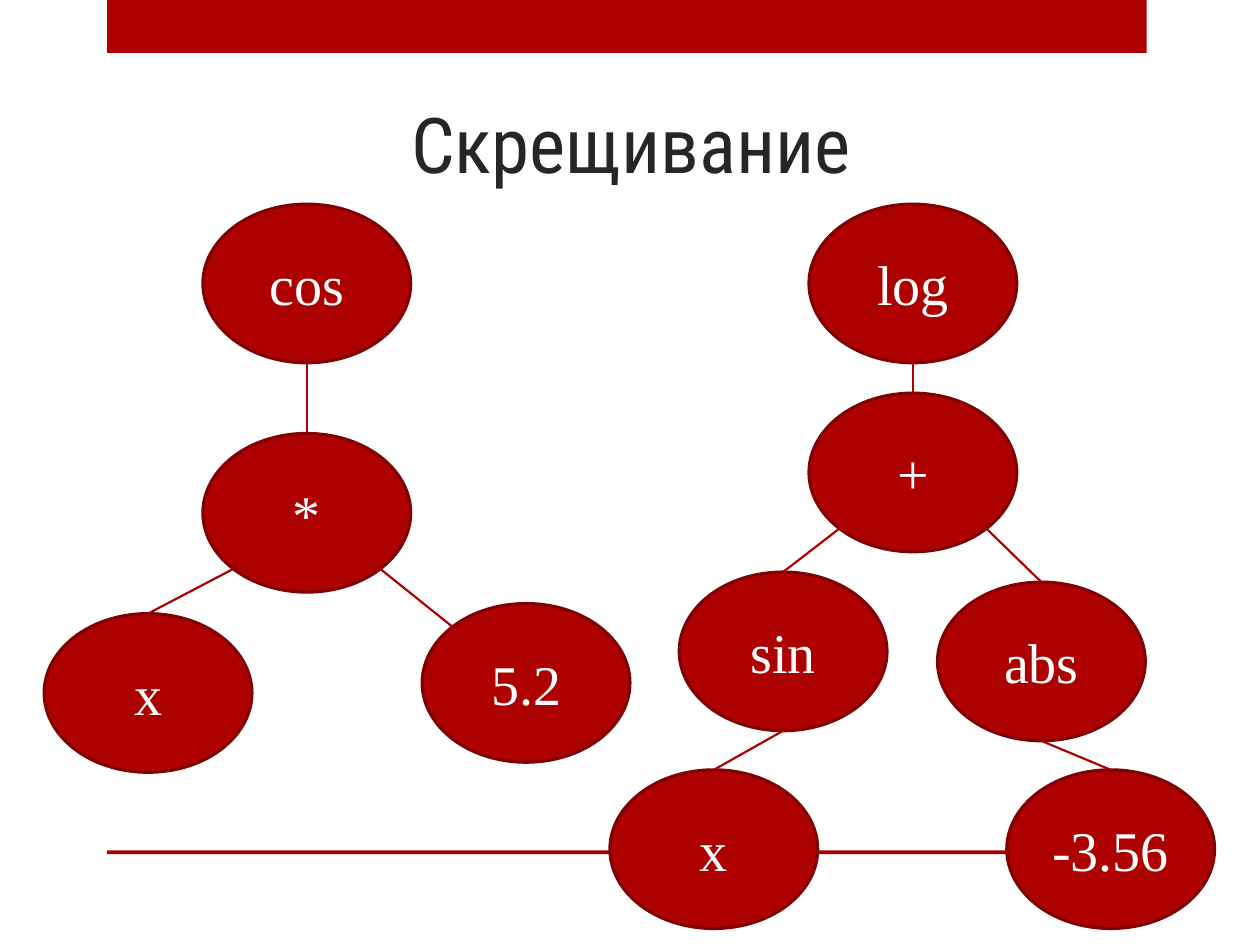
from math import sqrt

from lxml import etree
from pptx import Presentation
from pptx.dml.color import RGBColor
from pptx.enum.shapes import MSO_CONNECTOR, MSO_SHAPE
from pptx.enum.text import MSO_ANCHOR, PP_ALIGN
from pptx.oxml.ns import qn
from pptx.util import Inches, Pt

COLORS = {"red": "AD0101", "dark_red": "800101", "title": "262626", "white": "FFFFFF"}
TITLE = "Скрещивание"
NODE_W, NODE_H = 1.65, 1.26
BARS = [(0, 0.42), (6.75, 0.03)]  # top, height

# key: (label, left, top)
NODES = {
    "cos": ("cos", 1.61, 1.62),
    "times": ("*", 1.61, 3.44),
    "left_x": ("x", 0.35, 4.87),
    "factor": ("5.2", 3.35, 4.79),
    "log": ("log", 6.42, 1.62),
    "plus": ("+", 6.42, 3.12),
    "sin": ("sin", 5.39, 4.54),
    "abs": ("abs", 7.44, 4.62),
    "right_x": ("x", 4.84, 6.11),
    "constant": ("-3.56", 7.99, 6.11),
}

# parent, side of parent, child, side of child
EDGES = [
    ("cos", "bottom", "times", "top"),
    ("times", "bottom_left", "left_x", "top"),
    ("times", "bottom_right", "factor", "top_left"),
    ("log", "bottom", "plus", "top"),
    ("plus", "bottom_left", "sin", "top"),
    ("plus", "bottom_right", "abs", "top"),
    ("sin", "bottom", "right_x", "top"),
    ("abs", "bottom", "constant", "top"),
]

# Points on the unit circle, y pointing down
DIAGONAL = sqrt(0.5)
SIDES = {
    "top": (0, -1),
    "bottom": (0, 1),
    "top_left": (-DIAGONAL, -DIAGONAL),
    "bottom_left": (-DIAGONAL, DIAGONAL),
    "bottom_right": (DIAGONAL, DIAGONAL),
}


def rgb(name):
    """Return a named colour."""
    return RGBColor.from_string(COLORS[name])


def add_filled(slide, kind, left, top, width, height):
    """Add a red shape without outline or shadow."""
    shape = slide.shapes.add_shape(
        kind, Inches(left), Inches(top), Inches(width), Inches(height))
    shape.shadow.inherit = False
    shape.fill.solid()
    shape.fill.fore_color.rgb = rgb("red")
    shape.line.fill.background()
    return shape


def write(shape, text, size, font, color, anchor):
    """Put one centred line of text in a shape."""
    frame = shape.text_frame
    frame.word_wrap = True
    frame.vertical_anchor = anchor
    paragraph = frame.paragraphs[0]
    paragraph.alignment = PP_ALIGN.CENTER
    run = paragraph.add_run()
    run.text = text
    run.font.size = Pt(size)
    run.font.name = font
    run.font.color.rgb = rgb(color)


def add_node(slide, label, left, top):
    """Add one labelled ellipse of an expression tree."""
    node = add_filled(slide, MSO_SHAPE.OVAL, left, top, NODE_W, NODE_H)
    node.line.color.rgb = rgb("dark_red")
    node.line.width = Pt(1.75)
    write(node, label, 32, "Times New Roman", "white", MSO_ANCHOR.MIDDLE)


def site(key, side):
    """Return the point on a node's outline at the given side."""
    _, left, top = NODES[key]
    dx, dy = SIDES[side]
    return Inches(left + NODE_W * (1 + dx) / 2), Inches(top + NODE_H * (1 + dy) / 2)


def add_edge(slide, parent, parent_side, child, child_side):
    """Join two nodes with a straight line."""
    edge = slide.shapes.add_connector(
        MSO_CONNECTOR.STRAIGHT, *site(parent, parent_side), *site(child, child_side))
    edge.line.color.rgb = rgb("red")
    edge.line.width = Pt(1.25)
    etree.SubElement(edge._element.spPr, qn("a:effectLst"))


def add_title(slide):
    """Place and format the title placeholder."""
    title = slide.shapes.title
    title.left, title.top = Inches(1.3), Inches(-0.2)
    title.width, title.height = Inches(7.42), Inches(1.75)
    write(title, TITLE, 44, "Roboto Condensed", "title", MSO_ANCHOR.BOTTOM)


def main():
    """Build and save the slide."""
    prs = Presentation()
    prs.slide_width, prs.slide_height = Inches(10), Inches(7.5)
    slide = prs.slides.add_slide(prs.slide_layouts[5])
    for top, height in BARS:
        add_filled(slide, MSO_SHAPE.RECTANGLE, 0.85, top, 8.25, height)
    add_title(slide)
    for node in NODES.values():
        add_node(slide, *node)
    for edge in EDGES:
        add_edge(slide, *edge)
    prs.save("out.pptx")


main()
